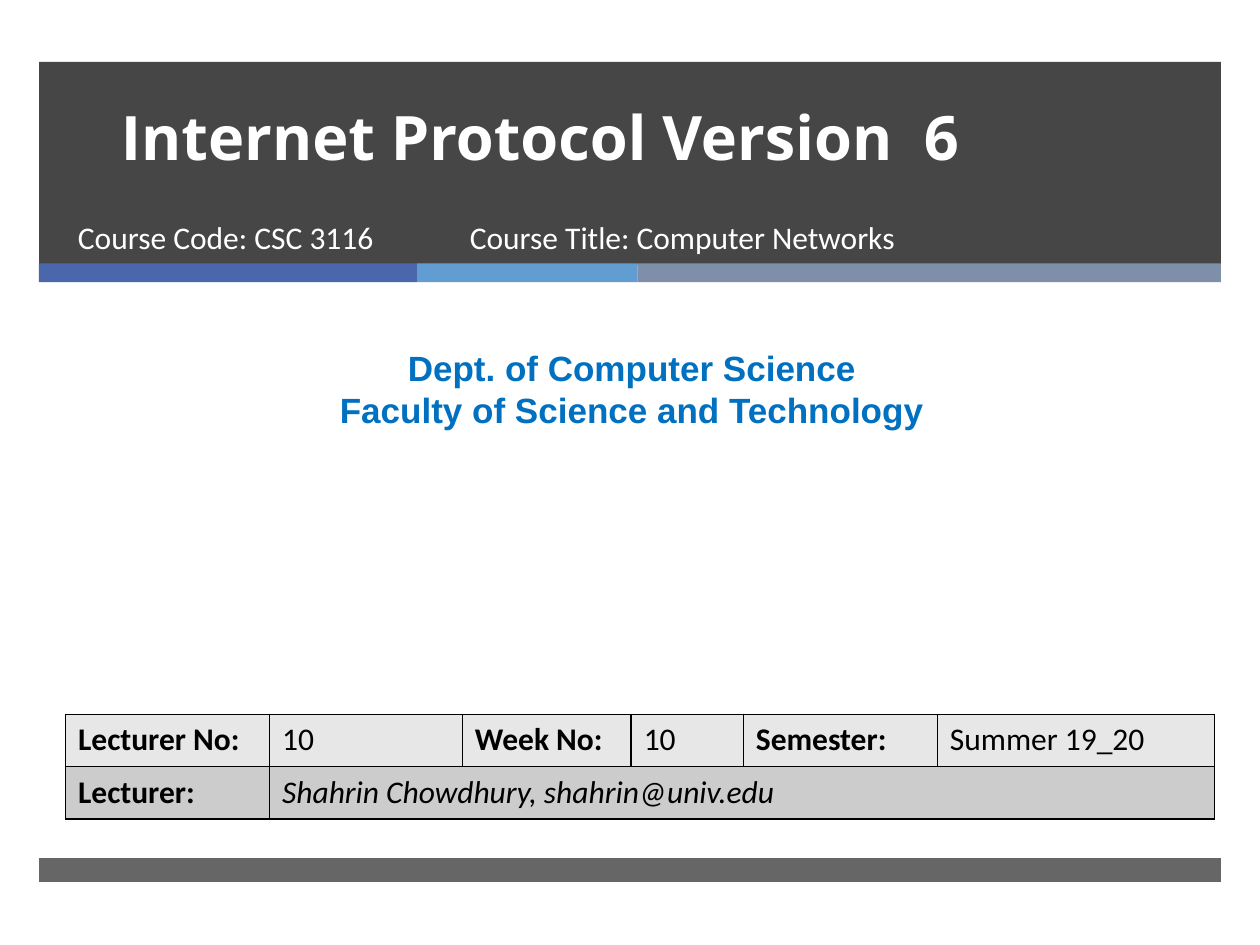
from lxml import etree
from pptx import Presentation
from pptx.dml.color import RGBColor
from pptx.enum import shapes, text
from pptx.oxml.ns import qn
from pptx.util import Inches, Pt

CHARCOAL = RGBColor(0x26, 0x26, 0x26)
ROYAL = RGBColor(0x4A, 0x66, 0xAC)
SKY = RGBColor(0x62, 0x9D, 0xD1)
SLATE = RGBColor(0x7F, 0x8F, 0xA9)
DEPT_BLUE = RGBColor(0x00, 0x70, 0xC0)
WHITE = RGBColor(0xFF, 0xFF, 0xFF)
BLACK = RGBColor(0, 0, 0)
LIGHT_ROW = RGBColor(0xE7, 0xE7, 0xE7)
DARK_ROW = RGBColor(0xCC, 0xCC, 0xCC)

BAND_LEFT = 0.31
COURSE_FORMAT = {"name": "Calibri", "size": Pt(18), "bold": False}
COLUMN_WIDTHS = [1.62, 1.53, 1.34, 0.89, 1.54, 2.2]
LECTURE_ROWS = [
    ["Lecturer No:", "10", "Week No:", "10", "Semester:", "Summer 19_20"],
    ["Lecturer:", "Shahrin Chowdhury, shahrin@univ.edu"],
]


def place(item, left, top, width, height):
    item.left, item.top = Inches(left), Inches(top)
    item.width, item.height = Inches(width), Inches(height)


def write_lines(frame, lines, color, font_format, align=text.PP_ALIGN.LEFT):
    for index, line in enumerate(lines):
        paragraph = frame.add_paragraph() if index else frame.paragraphs[0]
        paragraph.alignment = align
        run = paragraph.add_run()
        run.text = line
        run.font.color.rgb = color
        for key, value in font_format.items():
            setattr(run.font, key, value)


def add_band(slide, left, top, width, height, color, opacity=100):
    band = slide.shapes.add_shape(
        shapes.MSO_SHAPE.RECTANGLE,
        Inches(left), Inches(top), Inches(width), Inches(height))
    band.shadow.inherit = False
    band.fill.solid()
    band.fill.fore_color.rgb = color
    band.line.fill.background()
    if opacity < 100:
        tint = band.fill._xPr.find(".//" + qn("a:srgbClr"))
        etree.SubElement(tint, qn("a:alpha"), val=str(opacity * 1000))


def add_title(slide, heading):
    title = slide.shapes.title
    place(title, 0.02, 0.24, 8.54, 1.19)
    # The title must lie in front of the header band.
    slide.shapes._spTree.append(title._element)
    frame = title.text_frame
    frame.vertical_anchor = text.MSO_ANCHOR.BOTTOM
    frame.auto_size = text.MSO_AUTO_SIZE.NONE
    write_lines(frame, [heading], WHITE,
                {"name": "Open Sans", "size": Pt(35), "bold": True},
                text.PP_ALIGN.CENTER)
    frame.paragraphs[0].line_spacing = 0.9


def add_text(slide, box, lines, color, font_format, align=text.PP_ALIGN.LEFT):
    frame = slide.shapes.add_textbox(*map(Inches, box)).text_frame
    frame.word_wrap = True
    write_lines(frame, lines, color, font_format, align)


def add_cell_borders(cell):
    properties = cell._tc.get_or_add_tcPr()
    for index, side in enumerate(("lnL", "lnR", "lnT", "lnB")):
        border = etree.Element(qn("a:" + side), w=str(Pt(1)))
        fill = etree.SubElement(border, qn("a:solidFill"))
        etree.SubElement(fill, qn("a:srgbClr"), val=str(BLACK))
        properties.insert(index, border)


def add_lecture_table(slide):
    table = slide.shapes.add_table(
        len(LECTURE_ROWS), len(COLUMN_WIDTHS), Inches(0.52), Inches(5.67),
        Inches(sum(COLUMN_WIDTHS)), Inches(0.83)).table
    for column, width in zip(table.columns, COLUMN_WIDTHS):
        column.width = Inches(width)
    table.cell(1, 1).merge(table.cell(1, 5))
    for row, (entries, fill) in enumerate(
            zip(LECTURE_ROWS, (LIGHT_ROW, DARK_ROW))):
        for column in range(len(COLUMN_WIDTHS)):
            cell = table.cell(row, column)
            cell.fill.solid()
            cell.fill.fore_color.rgb = fill
            add_cell_borders(cell)
            if column < len(entries):
                is_label = column % 2 == 0
                write_lines(cell.text_frame, [entries[column]], BLACK,
                            {**COURSE_FORMAT, "bold": is_label,
                             "italic": row == 1 and not is_label})


def main():
    deck = Presentation()
    deck.slide_width, deck.slide_height = Inches(10), Inches(7.5)
    slide = deck.slides.add_slide(deck.slide_layouts[5])

    add_band(slide, BAND_LEFT, 0.49, 9.38, 1.61, CHARCOAL, 85)
    stripe_left = BAND_LEFT
    for width, color in ((3, ROYAL), (1.75, SKY), (4.63, SLATE)):
        add_band(slide, stripe_left, 2.09, width, 0.15, color)
        stripe_left += width
    add_band(slide, BAND_LEFT, 6.81, 9.38, 0.19, CHARCOAL, 70)

    add_title(slide, "Internet Protocol Version  6")
    add_text(slide, (0.52, 1.68, 3.05, 0.53), ["Course Code: CSC 3116"],
             WHITE, COURSE_FORMAT)
    add_text(slide, (0.08, 2.7, 9.87, 0.77),
             ["Dept. of Computer Science", "Faculty of Science and Technology"],
             DEPT_BLUE, {"name": "Arial", "size": Pt(20), "bold": True},
             text.PP_ALIGN.CENTER)
    add_text(slide, (3.63, 1.68, 4.55, 0.53),
             ["Course Title: Computer Networks"], WHITE, COURSE_FORMAT)
    add_lecture_table(slide)
    deck.save("out.pptx")


if __name__ == "__main__":
    main()
